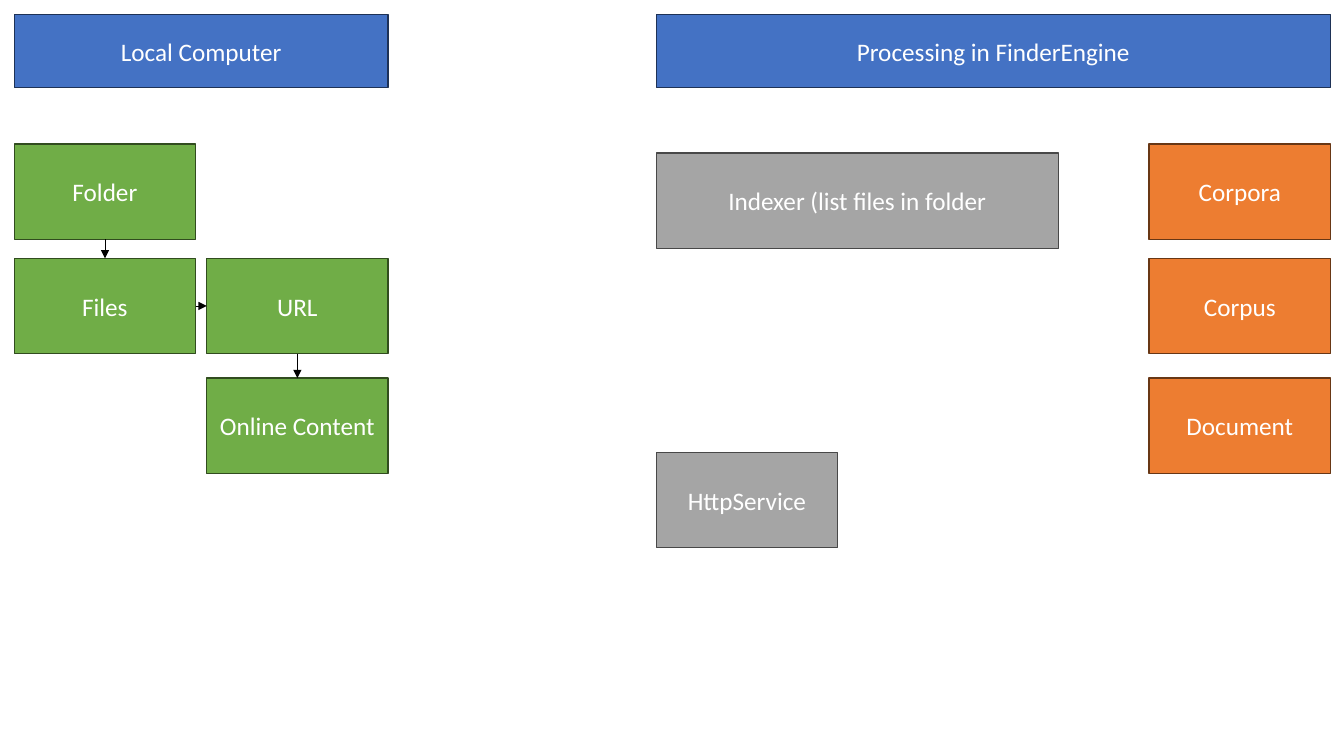
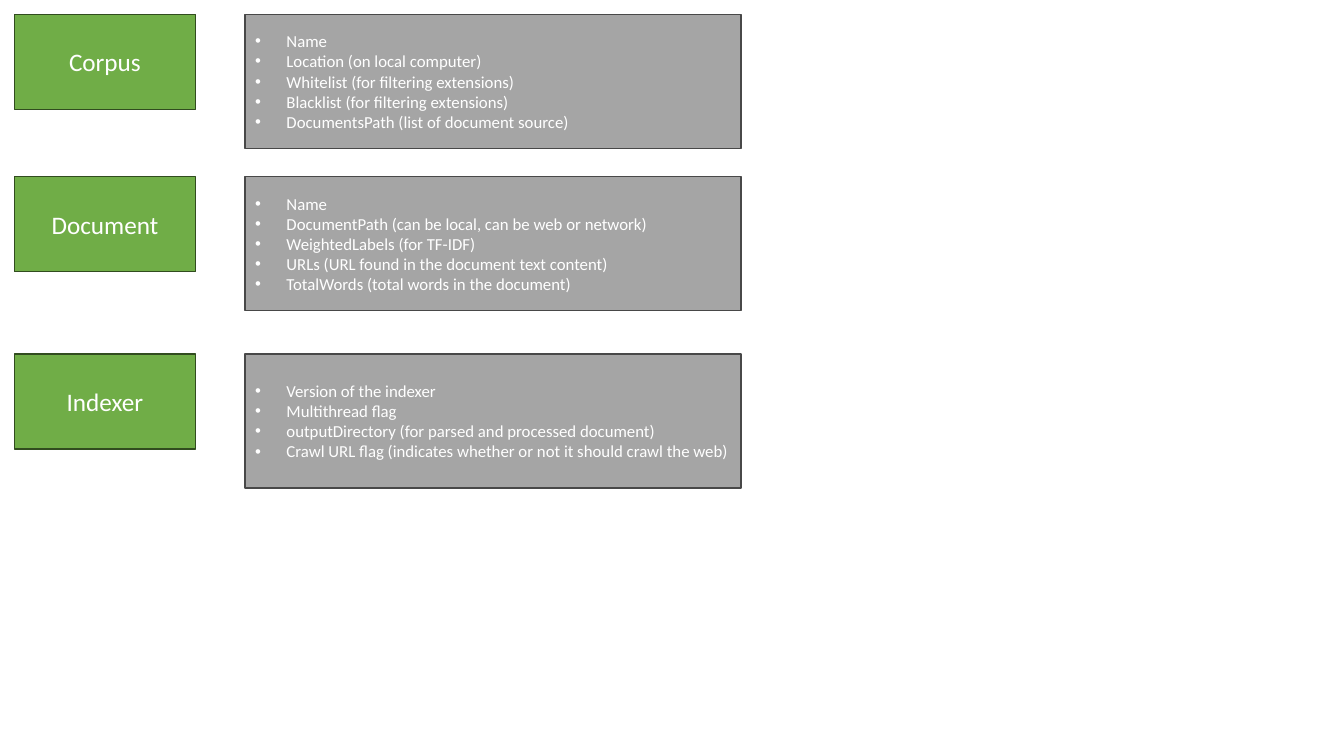
import pptx
import pptx.dml.color
import pptx.enum.shapes
import pptx.enum.text
import pptx.oxml.ns
import pptx.util
from lxml import etree

Cm = pptx.util.Cm
Pt = pptx.util.Pt
qn = pptx.oxml.ns.qn
ALIGN = pptx.enum.text.PP_ALIGN

COLORS = {
    "blue": "4472C4", "blue_line": "1E3256",
    "green": "70AD47", "green_line": "314C1F",
    "orange": "ED7D31", "orange_line": "683715",
    "gray": "A5A5A5", "gray_line": "484848",
    "text": "FFFFFF", "arrow": "000000",
}
FONT = "Calibri"
MARGIN = 0.36
BOX_WIDTH, BOX_HEIGHT = 4.57, 2.4
HEADER_HEIGHT = 1.85
ROW_OFFSETS = (3.27, 6.15, 9.17)
BULLET_INDENT = 0.79
BOTTOM, LEFT, TOP, RIGHT = 2, 1, 0, 3


def color(name):
    return pptx.dml.color.RGBColor.from_string(COLORS[name])


def add_box(slide, text, fill, left, top, width=BOX_WIDTH, height=BOX_HEIGHT,
            size=18, align=ALIGN.CENTER):
    shape = slide.shapes.add_shape(
        pptx.enum.shapes.MSO_SHAPE.RECTANGLE, Cm(left), Cm(top), Cm(width), Cm(height))
    shape.shadow.inherit = False
    shape.fill.solid()
    shape.fill.fore_color.rgb = color(fill)
    shape.line.color.rgb = color(fill + "_line")
    shape.line.width = Pt(1)
    text_frame = shape.text_frame
    text_frame.text = text
    text_frame.word_wrap = True
    text_frame.vertical_anchor = pptx.enum.text.MSO_ANCHOR.MIDDLE
    for paragraph in text_frame.paragraphs:
        paragraph.alignment = align
        for run in paragraph.runs:
            run.font.name = FONT
            run.font.size = Pt(size)
            run.font.color.rgb = color("text")
    return shape


def add_bullets(shape):
    for paragraph in shape.text_frame.paragraphs:
        properties = paragraph._p.get_or_add_pPr()
        properties.set("marL", str(int(Cm(BULLET_INDENT))))
        properties.set("indent", str(-int(Cm(BULLET_INDENT))))
        etree.SubElement(properties, qn("a:buFont"), typeface="Arial")
        etree.SubElement(properties, qn("a:buChar"), char="•")


def add_arrow(slide, source, source_side, target, target_side):
    connector = slide.shapes.add_connector(
        pptx.enum.shapes.MSO_CONNECTOR.STRAIGHT, 0, 0, 0, 0)
    connector.begin_connect(source, source_side)
    connector.end_connect(target, target_side)
    connector.line.color.rgb = color("arrow")
    connector.line.width = Pt(0.5)
    etree.SubElement(connector.line._get_or_add_ln(), qn("a:tailEnd"), type="triangle")
    etree.SubElement(connector._element.spPr, qn("a:effectLst"))


def add_local_region(slide, left, top, width):
    add_box(slide, "Local Computer", "blue", left, top, width, HEADER_HEIGHT)
    right_column = left + width - BOX_WIDTH
    first, second, third = (top + offset for offset in ROW_OFFSETS)
    folder = add_box(slide, "Folder", "green", left, first)
    files = add_box(slide, "Files", "green", left, second)
    url = add_box(slide, "URL", "green", right_column, second)
    content = add_box(slide, "Online Content", "green", right_column, third)
    add_arrow(slide, folder, BOTTOM, files, TOP)
    add_arrow(slide, files, RIGHT, url, LEFT)
    add_arrow(slide, url, BOTTOM, content, TOP)


def add_processing_region(slide, left, top, width):
    add_box(slide, "Processing in FinderEngine", "blue", left, top, width, HEADER_HEIGHT)
    for text, offset in zip(("Corpora", "Corpus", "Document"), ROW_OFFSETS):
        add_box(slide, text, "orange", left + width - BOX_WIDTH, top + offset)
    add_box(slide, "Indexer (list files in folder", "gray", left, top + 3.5, width=10.13)
    add_box(slide, "HttpService", "gray", left, top + 11.04)


def add_definition(slide, left, top, name, fields):
    add_box(slide, name, "green", left, top)
    details = add_box(slide, "\n".join(fields), "gray", left + 5.82, top, 12.5, 3.38,
                      size=12, align=ALIGN.LEFT)
    add_bullets(details)


def build_overview(slide):
    add_local_region(slide, MARGIN, MARGIN, 9.42)
    add_processing_region(slide, 16.54, MARGIN, 16.99)


def build_definitions(slide):
    definitions = (
        (MARGIN, "Corpus", (
            "Name",
            "Location (on local computer)",
            "Whitelist (for filtering extensions)",
            "Blacklist (for filtering extensions)",
            "DocumentsPath (list of document source)")),
        (4.45, "Document", (
            "Name",
            "DocumentPath (can be local, can be web or network)",
            "WeightedLabels (for TF-IDF)",
            "URLs (URL found in the document text content)",
            "TotalWords (total words in the document)")),
        (8.92, "Indexer", (
            "Version of the indexer",
            "Multithread flag",
            "outputDirectory (for parsed and processed document)",
            "Crawl URL flag (indicates whether or not it should crawl the web)")),
    )
    for top, name, fields in definitions:
        add_definition(slide, MARGIN, top, name, fields)


def main():
    presentation = pptx.Presentation()
    presentation.slide_width = Cm(33.87)
    presentation.slide_height = Cm(19.05)
    for build in (build_overview, build_definitions):
        build(presentation.slides.add_slide(presentation.slide_layouts[6]))
    presentation.save("out.pptx")


if __name__ == "__main__":
    main()
